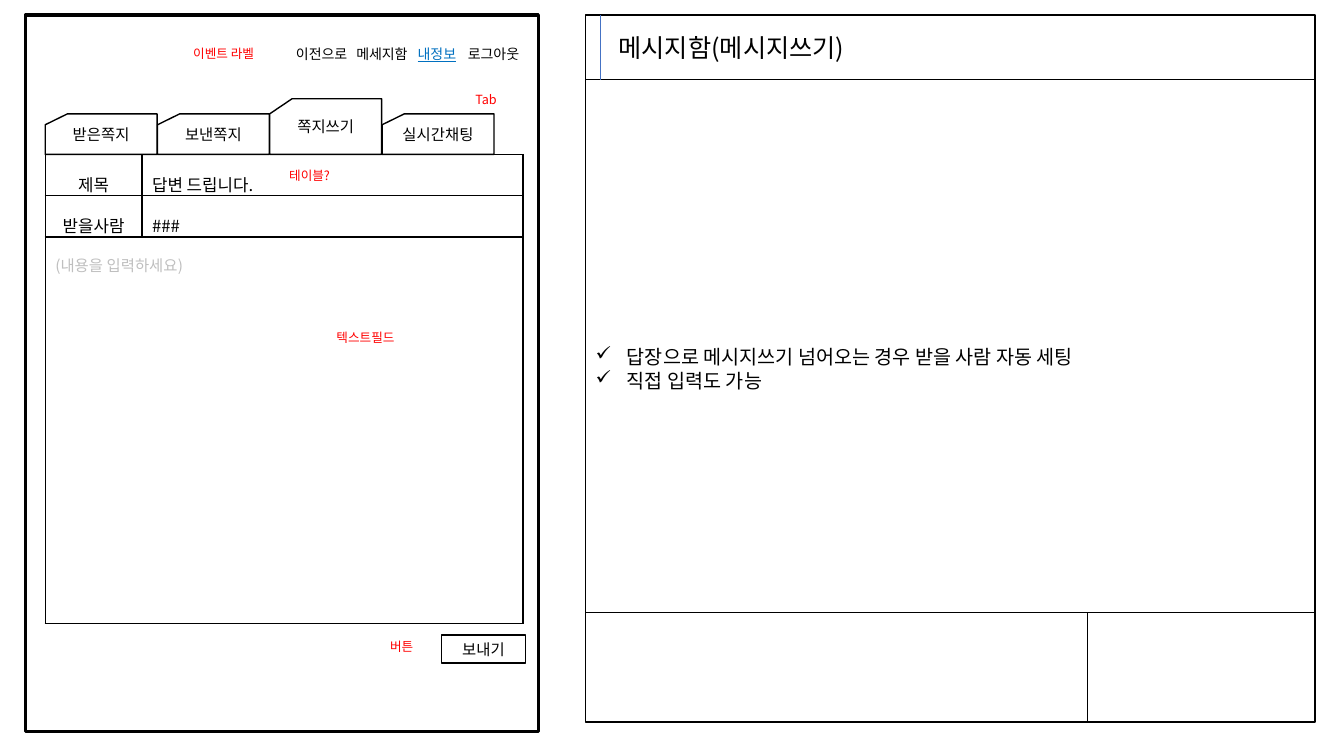
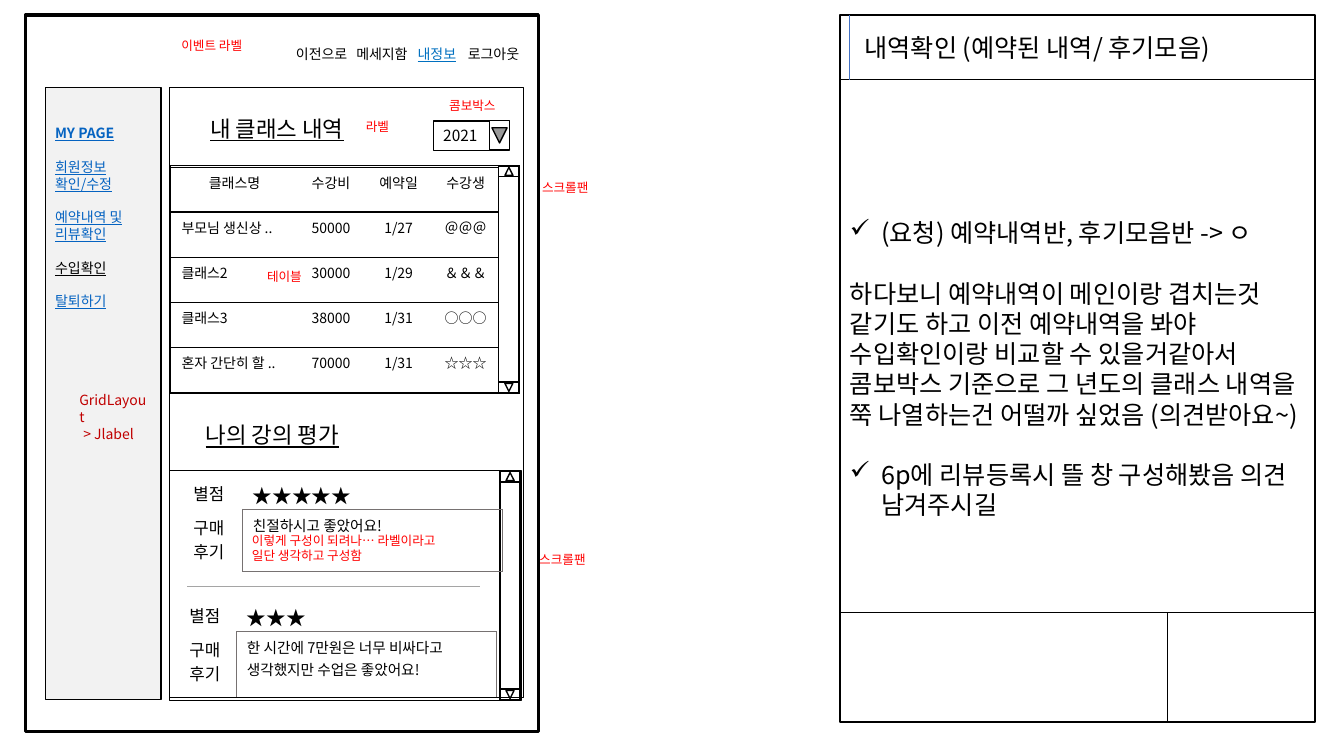
import pptx
import pptx.util
import pptx.dml.color
import pptx.enum.shapes
import pptx.enum.text
from dataclasses import dataclass
from lxml import etree
from pptx.oxml.ns import qn

Cm, Pt = pptx.util.Cm, pptx.util.Pt
SHAPE = pptx.enum.shapes.MSO_SHAPE
ANCHOR = pptx.enum.text.MSO_ANCHOR
ALIGN = pptx.enum.text.PP_ALIGN


@dataclass(frozen=True)
class Theme:
    font: str = "Noto Sans CJK KR"
    ink: str = "000000"
    paper: str = "FFFFFF"
    note: str = "FF0000"
    layout_note: str = "C00000"
    current: str = "0070C0"
    link: str = "0563C1"
    accent: str = "4472C4"
    hint: str = "BFBFBF"
    sidebar: str = "F2F2F2"
    review: str = "767171"
    divider: str = "A5A5A5"
    title: float = 18
    heading: float = 16
    stars: float = 14
    field: float = 12
    button: float = 11
    comment: float = 10.5
    small: float = 10
    label: float = 9


T = Theme()

# Positions and sizes are in centimetres.
NAV = [("이전으로", 7.09, 2.03), ("메세지함", 8.61, 2.03),
       ("내정보", 10.11, 1.8), ("로그아웃", 11.38, 2.11)]

WRITE_PANEL = dict(
    left=14.76, accent_x=15.14, split_x=27.41, title_x=15.34, size=14,
    title="메시지함(메시지쓰기)",
    notes=[dict(text="답장으로 메시지쓰기 넘어오는 경우 받을 사람 자동 세팅", bullet="✓"),
           dict(text="직접 입력도 가능", bullet="✓")])
TABS = [("받은쪽지", 1.02), ("보낸쪽지", 1.02), ("쪽지쓰기", 1.4), ("실시간채팅", 1.02)]
MESSAGE = [("제목", "답변 드립니다."), ("받을사람", "###"), ("(내용을 입력하세요)", None)]
WRITE_LABELS = [("이벤트 라벨", 4.62, 1.02), ("Tab", 11.73, 2.18), ("텍스트필드", 8.23, 8.2),
                ("테이블?", 7.04, 4.11), ("버튼", 9.58, 15.98)]

HISTORY_PANEL = dict(
    left=21.17, accent_x=21.41, split_x=29.41, title_x=21.54, size=18,
    title="내역확인 (예약된 내역/ 후기모음)",
    notes=[dict(text="(요청) 예약내역반, 후기모음반 -> ㅇ", bullet="✓"),
           dict(text="하다보니 예약내역이 메인이랑 겹치는것 같기도 하고 이전 예약내역을 봐야 "
                     "수입확인이랑 비교할 수 있을거같아서 콤보박스 기준으로 그 년도의 클래스 "
                     "내역을 쭉 나열하는건 어떨까 싶었음 (의견받아요~)", before=21.5),
           dict(text="6p에 리뷰등록시 뜰 창 구성해봤음 의견 남겨주시길", bullet="✓", before=21.5)])
CLASSES = [("클래스명", "수강비", "예약일", "수강생"),
           ("부모님 생신상 ..", "50000", "1/27", "＠＠＠"),
           ("클래스2", "30000", "1/29", "＆＆＆"),
           ("클래스3", "38000", "1/31", "○○○"),
           ("혼자 간단히 할 ..", "70000", "1/31", "☆☆☆")]
HEADINGS = [("내 클래스 내역", 5.05, 2.77), ("나의 강의 평가", 4.93, 10.49)]
SCROLL_PANES = [(4.29, 4.17, 8.81, 5.74), (4.27, 11.86, 8.86, 5.79)]
REVIEWS = [
    ("★★★★★", "친절하시고 좋았어요!", 4.62, 11.99, (1.5, 6.55), (0.81, 1.57)),
    ("★★★", "한 시간에 7만원은 너무 비싸다고 생각했지만 수업은 좋았어요!",
     4.52, 15.06, (1.45, 6.55), (0.86, 1.65))]
MENU = [dict(text="MY PAGE", bold=True),
        dict(text="회원정보", before=12), "확인/수정",
        dict(text="예약내역 및", before=12), "리뷰확인",
        dict(text="수입확인", before=12, color=T.ink),
        dict(text="탈퇴하기", before=12)]
HISTORY_LABELS = [("이벤트 라벨", 4.32, 0.84), ("라벨", 8.97, 2.87), ("테이블", 6.48, 6.65),
                  ("콤보박스", 11.07, 2.34), ("스크롤팬", 13.41, 4.42), ("스크롤팬", 13.34, 13.77)]
REVIEW_LABEL = "이렇게 구성이 되려나… 라벨이라고 일단 생각하고 구성함"


def rgb(value):
    return pptx.dml.color.RGBColor.from_string(value)


def write(frame, lines, **format):
    """Fill a text frame; each line is a string or a dict of text and overrides."""
    frame.word_wrap = True
    for i, line in enumerate([lines] if isinstance(lines, str) else lines):
        look = {**format, **({"text": line} if isinstance(line, str) else line)}
        para = frame.paragraphs[0] if i == 0 else frame.add_paragraph()
        props = para._p.get_or_add_pPr()
        if "bullet" in look:
            props.set("marL", str(Cm(0.79)))
            props.set("indent", str(-Cm(0.79)))
            etree.SubElement(props, qn("a:buChar")).set("char", look["bullet"])
        elif "indent" in look:
            props.set("marL", str(Cm(look["indent"])))
        para.alignment = look.get("align", ALIGN.LEFT)
        if "before" in look:
            para.space_before = Pt(look["before"])
        if "spacing" in look:
            para.line_spacing = look["spacing"]
        run = para.add_run()
        run.text = look["text"]
        run.font.size = Pt(look["size"])
        run.font.name = T.font
        run.font.bold = look.get("bold", False)
        run.font.underline = look.get("underline", False)
        run.font.color.rgb = rgb(look.get("color", T.ink))
        etree.SubElement(run.font._element, qn("a:ea")).set("typeface", T.font)


def text_box(slide, lines, x, y, w, h, anchor=ANCHOR.TOP, **format):
    frame = slide.shapes.add_textbox(Cm(x), Cm(y), Cm(w), Cm(h)).text_frame
    frame.vertical_anchor = anchor
    write(frame, lines, **format)


def paint(shape, fill, width=1):
    shape.shadow.inherit = False
    if fill:
        shape.fill.solid()
        shape.fill.fore_color.rgb = rgb(fill)
    else:
        shape.fill.background()
    shape.line.color.rgb = rgb(T.ink)
    shape.line.width = Pt(width)


def box(slide, x, y, w, h, fill=None, width=1, kind=SHAPE.RECTANGLE, turn=0):
    shape = slide.shapes.add_shape(kind, Cm(x), Cm(y), Cm(w), Cm(h))
    paint(shape, fill, width)
    shape.rotation = turn
    shape.text_frame.vertical_anchor = ANCHOR.MIDDLE
    return shape


def rule(slide, x1, y1, x2, y2, color=T.ink, width=0.5):
    line = slide.shapes.add_connector(
        pptx.enum.shapes.MSO_CONNECTOR.STRAIGHT, Cm(x1), Cm(y1), Cm(x2), Cm(y2))
    line.line.color.rgb = rgb(color)
    line.line.width = Pt(width)
    etree.SubElement(line._element.spPr, qn("a:effectLst"))


def grid(slide, x, y, columns, rows):
    table = slide.shapes.add_table(len(rows), len(columns), Cm(x), Cm(y),
                                   Cm(sum(columns)), Cm(sum(rows))).table
    table.first_row = table.horz_banding = False
    for column, width in zip(table.columns, columns):
        column.width = Cm(width)
    for row, height in zip(table.rows, rows):
        row.height = Cm(height)
    return table


def edge(cell, sides, color=T.ink):
    """Clear the cell's fill and draw 1 pt borders on the named sides (L, R, T, B)."""
    cell.fill.background()
    props = cell._tc.get_or_add_tcPr()
    for i, side in enumerate("LRTB"):
        line = etree.Element(qn("a:ln" + side), w=str(Pt(1)))
        if side in sides:
            fill = etree.SubElement(line, qn("a:solidFill"))
            etree.SubElement(fill, qn("a:srgbClr")).set("val", color)
        else:
            etree.SubElement(line, qn("a:noFill"))
        props.insert(i, line)


def add_labels(slide, labels):
    for text, x, y in labels:
        text_box(slide, text, x, y, 2.72, 0.64, size=T.label, color=T.note)


def add_screen(slide):
    """Draw the app window and its navigation."""
    box(slide, 0.64, 0.38, 12.93, 18.06, width=2.25)
    for text, x, w in NAV:
        current = text == "내정보"
        text_box(slide, text, x, 0.86, w, 0.99, ANCHOR.MIDDLE, align=ALIGN.CENTER,
                 size=T.small, underline=current, color=T.current if current else T.ink)


def add_panel(slide, left, accent_x, split_x, title_x, size, title, notes):
    top, head, foot, bottom, right = 0.38, 2.01, 15.44, 18.2, 33.14
    panel = box(slide, left, top, right - left, bottom - top, T.paper)
    write(panel.text_frame, notes, size=size)
    for y in (head, foot):
        rule(slide, left, y, right, y)
    rule(slide, accent_x, top, accent_x, head, T.accent)
    rule(slide, split_x, foot, split_x, bottom)
    text_box(slide, title, title_x, 0.69, 10.8, 1.02, size=T.title)


def add_tab(slide, text, x, bottom, height):
    width, snip_x, snip_y = 2.82, 0.56, 0.27 * height
    top = bottom - height
    outline = slide.shapes.build_freeform(Cm(x), Cm(top + snip_y))
    outline.add_line_segments([(Cm(px), Cm(py)) for px, py in (
        (x + snip_x, top), (x + width, top), (x + width, bottom), (x, bottom))])
    tab = outline.convert_to_shape()
    paint(tab, T.paper)
    tab.text_frame.vertical_anchor = ANCHOR.MIDDLE
    write(tab.text_frame, text, size=T.button, align=ALIGN.CENTER)


def add_message_form(slide):
    table = grid(slide, 1.14, 3.89, (2.44, 9.6), (1.04, 1.04, 9.75))
    for r, (name, value) in enumerate(MESSAGE):
        for c in range(2):
            edge(table.cell(r, c), "LRTB")
        if value is None:
            table.cell(r, 0).merge(table.cell(r, 1))
            write(table.cell(r, 0).text_frame, name, size=T.button, color=T.hint, spacing=1.5)
        else:
            write(table.cell(r, 0).text_frame, name, size=T.field, spacing=1.5,
                  align=ALIGN.CENTER)
            write(table.cell(r, 1).text_frame, value, size=T.field, spacing=1.5)


def add_class_table(slide):
    table = grid(slide, 4.32, 4.22, (3.18, 1.68, 1.73, 1.65), [1.12] + [1.14] * 4)
    for r, record in enumerate(CLASSES):
        for c, text in enumerate(record):
            edge(table.cell(r, c), "TB")
            write(table.cell(r, c).text_frame, text, size=T.small,
                  align=ALIGN.LEFT if r and c == 0 else ALIGN.CENTER)


def add_arrow_button(slide, center_x, center_y, w, h, turn, fill=None):
    box(slide, center_x - w / 2, center_y - h / 2, w, h, fill,
        kind=SHAPE.ACTION_BUTTON_BACK_OR_PREVIOUS, turn=turn)


def add_scroll_pane(slide, x, y, w, h):
    bar_x, bar_w, inset = x + w - 0.53, 0.51, 0.15
    box(slide, x, y, w, h)
    box(slide, bar_x, y, bar_w, h)
    for center_y, turn in ((y + inset, 90), (y + h - inset, 270)):
        add_arrow_button(slide, bar_x + bar_w / 2, center_y, 0.27, bar_w, turn)


def add_review(slide, stars, comment, x, y, columns, rows):
    table = grid(slide, x, y, columns, rows)
    cells = [("별점", T.field, ""), (stars, T.stars, "B"),
             (["구매", "후기"], T.field, "R"), (comment, T.comment, "LRTB")]
    for i, (text, size, sides) in enumerate(cells):
        cell = table.cell(*divmod(i, 2))
        edge(cell, sides, T.review)
        write(cell.text_frame, text, size=size)


def add_sidebar(slide):
    sidebar = box(slide, 1.14, 2.21, 2.92, 15.42, T.sidebar)
    sidebar.text_frame.vertical_anchor = ANCHOR.TOP
    sidebar.text_frame.margin_top = Cm(0.93)
    write(sidebar.text_frame, MENU, size=T.small, color=T.link, underline=True)
    text_box(slide, ["GridLayout", dict(text="> Jlabel", indent=0.1)], 1.75, 9.75, 2.26, 1.12,
             size=T.small, color=T.layout_note)


def build_write_slide(slide):
    add_panel(slide, **WRITE_PANEL)
    add_message_form(slide)
    send = box(slide, 11.13, 16, 2.11, 0.71, T.paper)
    write(send.text_frame, "보내기", size=T.button, align=ALIGN.CENTER)
    for i, (text, height) in enumerate(TABS):
        add_tab(slide, text, 1.14 + 2.83 * i, 3.89, height)
    add_labels(slide, WRITE_LABELS)
    add_screen(slide)


def build_history_slide(slide):
    add_panel(slide, **HISTORY_PANEL)
    add_class_table(slide)
    for pane in SCROLL_PANES:
        add_scroll_pane(slide, *pane)
    for text, x, y in HEADINGS:
        text_box(slide, text, x, y, 4.34, 1.7, size=T.heading, underline=True)
    year = box(slide, 10.92, 3.05, 1.88, 0.74, T.paper)
    write(year.text_frame, "2021", size=T.button)
    add_arrow_button(slide, 12.59, 3.41, 0.74, 0.51, 270, T.paper)
    for review in REVIEWS:
        add_review(slide, *review)
    rule(slide, 4.72, 14.78, 12.09, 14.78, T.divider, 1)
    add_labels(slide, HISTORY_LABELS)
    text_box(slide, REVIEW_LABEL, 6.1, 13.31, 5.74, 1.02, size=T.label, color=T.note)
    add_sidebar(slide)
    box(slide, 4.27, 2.21, 8.92, 15.37)
    add_screen(slide)


def main():
    deck = pptx.Presentation()
    deck.slide_width, deck.slide_height = Cm(33.87), Cm(19.05)
    for build in (build_write_slide, build_history_slide):
        build(deck.slides.add_slide(deck.slide_layouts[6]))
    deck.save("out.pptx")


if __name__ == "__main__":
    main()
